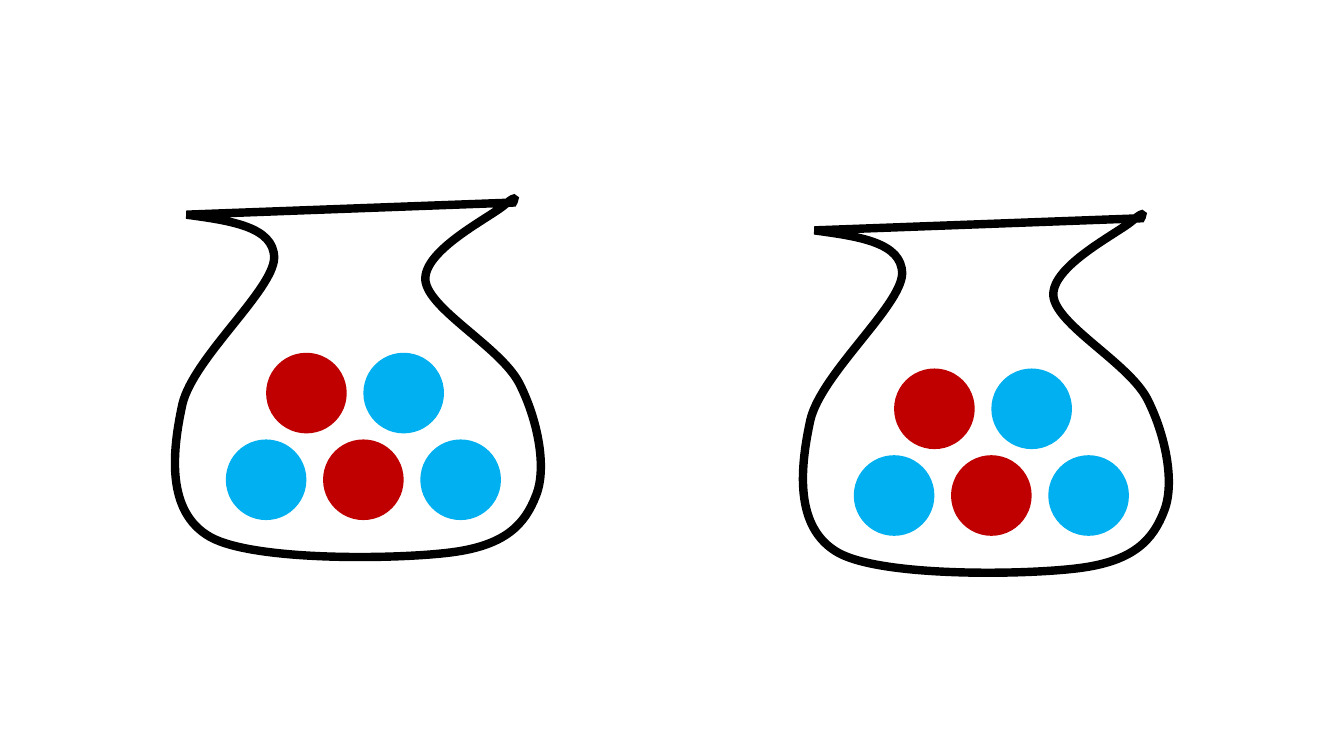
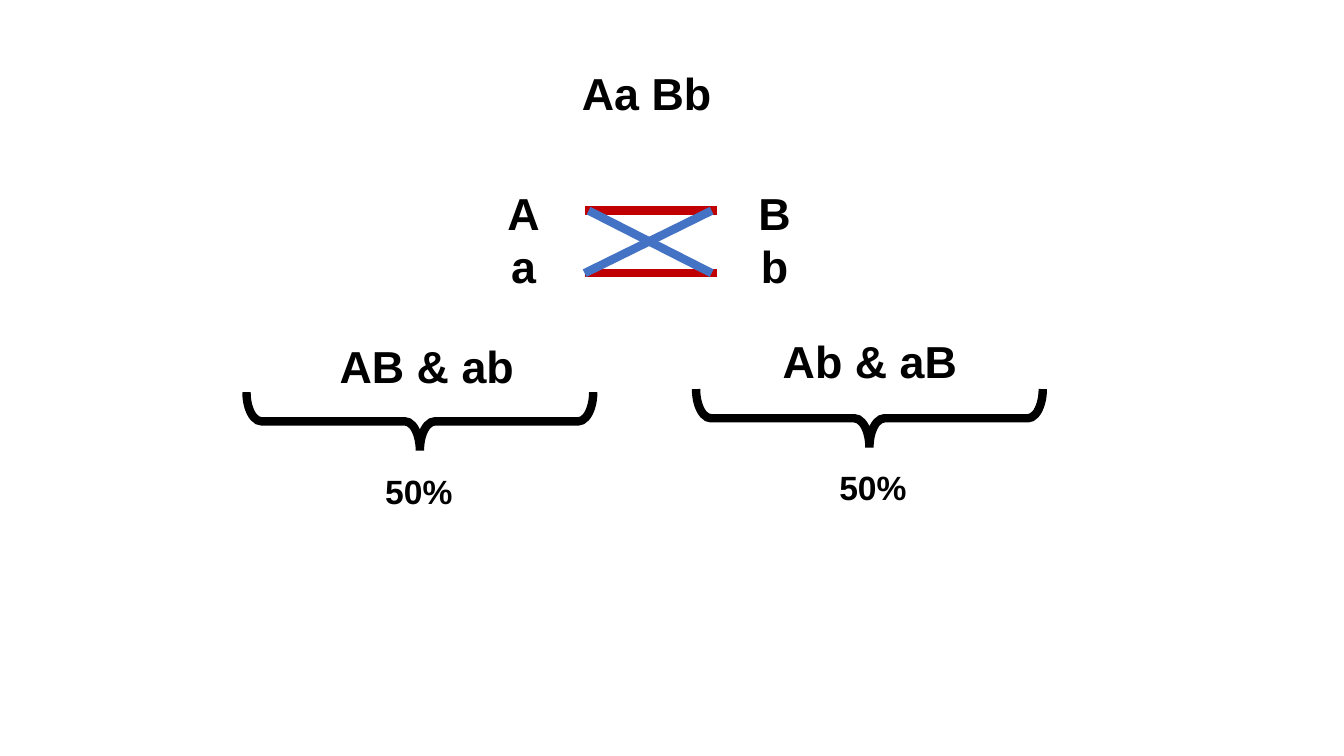
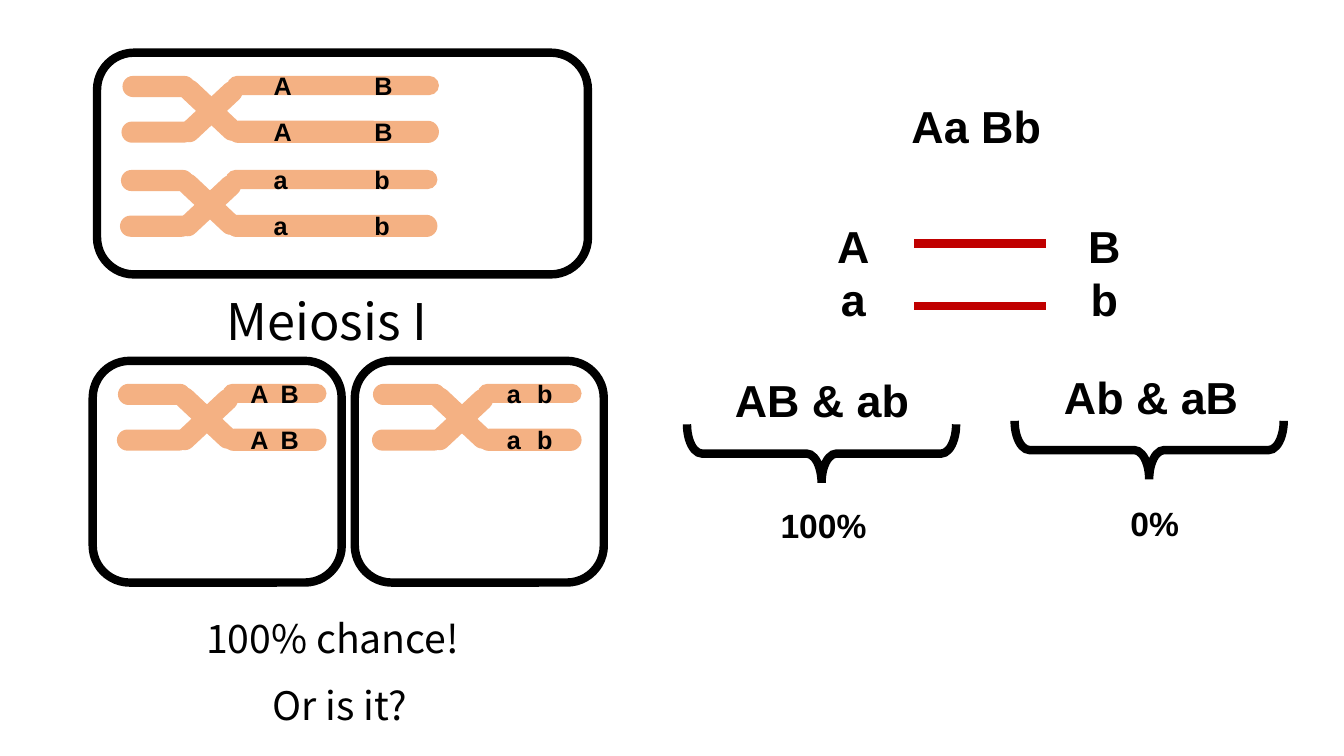
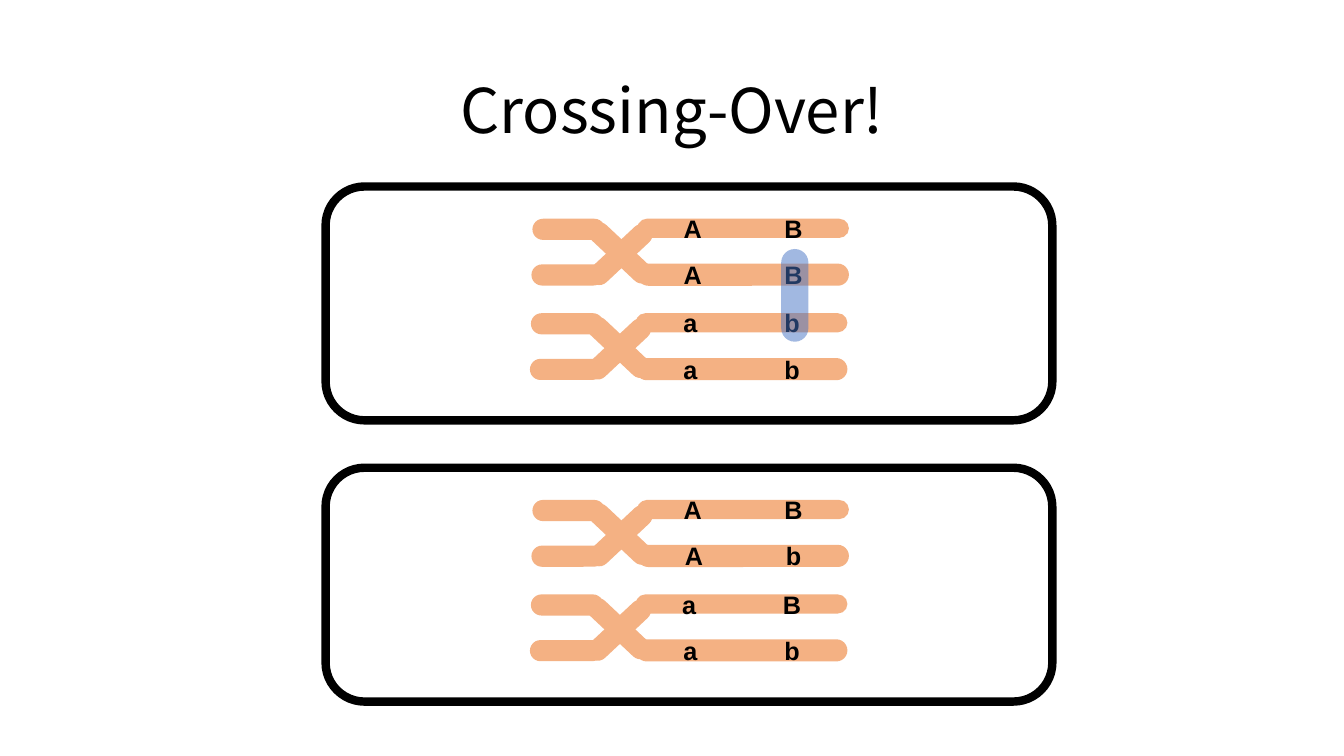
from dataclasses import dataclass

from lxml import etree
from pptx import Presentation
from pptx.dml.color import RGBColor
from pptx.enum.shapes import MSO_CONNECTOR, MSO_SHAPE
from pptx.enum.text import MSO_ANCHOR, PP_ALIGN
from pptx.oxml.ns import qn
from pptx.util import Emu, Inches, Pt

STRAIGHT = MSO_CONNECTOR.STRAIGHT
OVAL, ROUNDED, BRACE = MSO_SHAPE.OVAL, MSO_SHAPE.ROUNDED_RECTANGLE, MSO_SHAPE.RIGHT_BRACE
CENTER, LEFT = PP_ALIGN.CENTER, PP_ALIGN.LEFT
TOP, MIDDLE = MSO_ANCHOR.TOP, MSO_ANCHOR.MIDDLE


@dataclass(frozen=True)
class Theme:
    ink: str = "000000"
    red: str = "C00000"
    sky: str = "00B0F0"
    blue: str = "4472C4"
    peach: str = "F4B183"
    label_font: str = "Arial"
    prose_font: str = "Noto Sans CJK JP"
    title: int = 44
    heading: int = 36
    genotype: int = 32
    remark: int = 28
    share: int = 24
    allele: int = 18
    stroke: int = 6


THEME = Theme()

# The grid has square cells of a tenth of an inch: 133.33 columns by 75 rows.
CELL = Inches(0.1)
COLUMNS, ROWS = 133.33, 75

# Jar outline: start point, then curves of two handles and an end, from the jar's corner.
JAR_SIZE = (36.3, 35.6)
JAR_START = (1.1, 1.6)
JAR_CURVES = [
    ((5.5, 2.2), (9.8, 2.8), (9.8, 5.9)),
    ((9.7, 9.1), (1.8, 15.8), (0.7, 20.4)),
    ((-0.3, 25), (-1, 31.1), (3.5, 33.6)),
    ((7.9, 36), (22, 35.8), (27.4, 35.1)),
    ((32.8, 34.4), (34.7, 32.3), (35.8, 29.4)),
    ((36.9, 26.6), (35.9, 21.8), (34.1, 18.3)),
    ((32.2, 14.7), (25.1, 11), (24.8, 8.1)),
    ((24.6, 5.1), (31.2, 1.9), (32.7, 0.6)),
    ((34.1, -0.6), (33.5, 0.4), (33.5, 0.4)),
]
BALL, BALL_STEP = 8, 9.65
BALL_ROWS = [
    (9, 15.3, (THEME.red, THEME.sky)),
    (5, 23.9, (THEME.sky, THEME.red, THEME.sky)),
]

# Allele spacing along a chromatid, and the length of its long arm.
LONG_ARM, SHORT_ARM = 21, 10.3
LONG_GAP, SHORT_GAP = 10, 3


def cells(count):
    return Emu(round(count * CELL))


def color(code):
    return RGBColor.from_string(code)


# Basic elements

def style_shape(shape, fill=None, outline=None):
    shape.shadow.inherit = False
    if fill:
        shape.fill.solid()
        shape.fill.fore_color.rgb = color(fill)
    else:
        shape.fill.background()
    if outline:
        shape.line.color.rgb = color(outline)
        shape.line.width = Pt(THEME.stroke)
        etree.SubElement(shape.line._get_or_add_ln(), qn("a:miter"), lim="800000")
    else:
        shape.line.fill.background()
    return shape


def add_shape(shapes, kind, at, fill=None, outline=None, rotation=0, adjust=None):
    shape = style_shape(shapes.add_shape(kind, *map(cells, at)), fill, outline)
    shape.rotation = rotation
    if adjust is not None:
        shape.adjustments[0] = adjust
    return shape


def add_span(para, text, size, font=THEME.label_font, bold=True):
    span = para.add_run()
    span.text = text
    span.font.name = font
    span.font.size = Pt(size)
    span.font.bold = bold
    span.font.color.rgb = color(THEME.ink)


def add_text(page, at, lines, size, font=THEME.label_font, bold=True,
             align=CENTER, anchor=TOP, spacing=None):
    frame = page.shapes.add_textbox(*map(cells, at)).text_frame
    frame.word_wrap = align == LEFT
    frame.vertical_anchor = anchor
    for index, line in enumerate(lines):
        para = frame.add_paragraph() if index else frame.paragraphs[0]
        para.alignment = align
        para.line_spacing = spacing
        add_span(para, line, size, font, bold)


def add_prose(page, at, text, size, **options):
    add_text(page, at, [text], size, THEME.prose_font, False, **options)


def add_line(page, start, end, stroke):
    line = page.shapes.add_connector(STRAIGHT, *map(cells, (*start, *end)))
    line.line.color.rgb = color(stroke)
    line.line.width = Pt(THEME.stroke)
    etree.SubElement(line._element.spPr, qn("a:effectLst"))


def set_opacity(shape, percent):
    for fill_color in shape._element.spPr.find(qn("a:solidFill")):
        etree.SubElement(fill_color, qn("a:alpha"), val=str(percent * 1000))


# Jars of balls

def add_curved_outline(page, left, top, size, start, curves):
    """A closed freeform whose sides are Bezier curves, bounded by the given size."""
    builder = page.shapes.build_freeform(*map(cells, start), scale=1.0)
    builder.add_line_segments([tuple(map(cells, curve[-1])) for curve in curves], close=True)
    shape = builder.convert_to_shape()
    shape.left, shape.top, shape.width, shape.height = map(cells, (left, top, *size))

    # Swap the straight sides for curves, in the units of the box
    outline = next(shape._element.iter(qn("a:path")))
    outline.set("w", str(cells(size[0])))
    outline.set("h", str(cells(size[1])))
    for part in list(outline):
        outline.remove(part)
    steps = [("a:moveTo", [start])] + [("a:cubicBezTo", curve) for curve in curves]
    for tag, points in steps + [("a:lnTo", [start]), ("a:close", [])]:
        part = etree.SubElement(outline, qn(tag))
        for x, y in points:
            etree.SubElement(part, qn("a:pt"), x=str(cells(x)), y=str(cells(y)))
    return style_shape(shape, outline=THEME.ink)


def draw_jar(page, left, top):
    add_curved_outline(page, left, top, JAR_SIZE, JAR_START, JAR_CURVES)
    for x, y, fills in BALL_ROWS:
        for index, fill in enumerate(fills):
            at = (left + x + index * BALL_STEP, top + y, BALL, BALL)
            add_shape(page.shapes, OVAL, at, fill)


# Genotypes and their gametes

def draw_genotype(page, left, top, crossed):
    add_text(page, (left + 5.8, top, 18.1, 6.4), ["Aa Bb"], THEME.genotype)
    for x, alleles in ((0, "Aa"), (24.9, "Bb")):
        add_text(page, (left + x, top + 11.9, 5.3, 11.8), alleles, THEME.genotype)
    upper, lower = top + 14.9, top + 21.1
    start, end = left + 8.7, left + 21.8
    for y in (upper, lower):
        add_line(page, (start, y), (end, y), THEME.red)
    if crossed:
        add_line(page, (start + 0.4, upper), (end - 0.5, lower), THEME.blue)
        add_line(page, (start, lower), (end - 0.5, upper), THEME.blue)


def draw_gametes(page, center, middle, width, label, label_at, share, share_at):
    """Label above a brace that is centred on the given point, share below it."""
    depth = 5.8
    add_text(page, (*label_at, 6.4), [label], THEME.genotype)
    at = (center - depth / 2, middle - width / 2, depth, width)
    add_shape(page.shapes, BRACE, at, outline=THEME.ink, rotation=90, adjust=0.256)
    add_text(page, (*share_at, 5), [share], THEME.share)


# Cells and chromosomes

def draw_cell(page, at):
    add_shape(page.shapes, ROUNDED, at, outline=THEME.ink)


def draw_chromosome(page, left, top, upper, lower, arm=LONG_ARM, gap=LONG_GAP):
    """Two crossing chromatids, each with a pair of alleles on its right arm."""
    shapes = page.shapes.add_group_shape().shapes

    def add_bar(x, y, width, height, rotation=0):
        at = (left + x, top + y, width, height)
        return add_shape(shapes, ROUNDED, at, THEME.peach, rotation=rotation, adjust=0.5)

    for y, height, alleles in ((0, 1.9, upper), (4.45, 2.2, lower)):
        frame = add_bar(10.5, y, arm, height).text_frame
        frame.word_wrap = True
        frame.vertical_anchor = MIDDLE
        para = frame.paragraphs[0]
        para.alignment = CENTER
        stops = etree.SubElement(para._p.get_or_add_pPr(), qn("a:tabLst"))
        etree.SubElement(stops, qn("a:tab"), pos=str(cells(gap)), algn="l")
        add_span(para, "\t".join(alleles), THEME.allele)
    add_bar(4.9, 2.5, 7.9, 2.1, 316.9)
    add_bar(4.9, 2.35, 7.9, 2.1, 43.2)
    add_bar(0.1, 0, 7.2, 2.1)
    add_bar(0, 4.53, 7.2, 2.1)


# Slides

def build_jars(page):
    draw_jar(page, 17.4, 19.7)
    draw_jar(page, 79.7, 21.26)


def build_independent(page):
    draw_genotype(page, 49.3, 6, crossed=True)
    draw_gametes(page, 41.65, 41.8, 34.4, "AB & ab", (32.2, 33.1, 20.3),
                 "50%", (36.8, 46.2, 9.5))
    draw_gametes(page, 86.25, 41.5, 34.4, "Ab & aB", (74.2, 32.6, 24.2),
                 "50%", (82.2, 45.8, 8.8))


def build_linked(page):
    # Before and after the division
    draw_chromosome(page, 12.05, 7.53, "AB", "AB")
    draw_cell(page, (9.63, 5.23, 48.7, 22))
    for chromosome_left, cell_left, alleles in ((11.6, 9.2, "AB"), (36.9, 35.2, "ab")):
        draw_chromosome(page, chromosome_left, 38.08, alleles, alleles, SHORT_ARM, SHORT_GAP)
        draw_cell(page, (cell_left, 35.8, 24.7, 22))
    add_prose(page, (21.5, 28.3, 32.7, 7.1), "Meiosis I", THEME.heading, align=LEFT)
    add_prose(page, (19.4, 60.5, 27.2, 5.7), "100% chance!", THEME.remark)
    draw_chromosome(page, 11.9, 16.86, "ab", "ab")
    add_prose(page, (25.7, 67.1, 16, 5.7), "Or is it?", THEME.remark)

    # Expected gametes
    draw_genotype(page, 82, 9.27, crossed=False)
    draw_gametes(page, 81.5, 45, 26.7, "AB & ab", (71.4, 36.5, 20.3),
                 "100%", (76.4, 49.6, 10.6))
    draw_gametes(page, 114, 44.65, 26.7, "Ab & aB", (102.1, 36.2, 24.2),
                 "0%", (111.1, 49.45, 6.9))


def build_crossing_over(page):
    add_prose(page, (9.2, 4, 115, 14.5), "Crossing-Over!", THEME.title,
              anchor=MIDDLE, spacing=0.9)
    stages = [
        (18.5, ("AB", "AB"), ("ab", "ab")),
        (46.4, ("AB", "Ab"), ("aB", "ab")),
    ]
    for top, first, second in stages:
        draw_chromosome(page, 52.72, top + 3.2, *first)
        draw_cell(page, (32.3, top, 72.1, 23.2))
        draw_chromosome(page, 52.57, top + 12.57, *second)
    swap = add_shape(page.shapes, ROUNDED, (77.5, 24.7, 2.7, 9.2), THEME.blue, adjust=0.5)
    set_opacity(swap, 50)


def main():
    deck = Presentation()
    deck.slide_width, deck.slide_height = cells(COLUMNS), cells(ROWS)
    blank = deck.slide_layouts[6]
    for build in (build_jars, build_independent, build_linked, build_crossing_over):
        build(deck.slides.add_slide(blank))
    deck.save("out.pptx")


if __name__ == "__main__":
    main()
